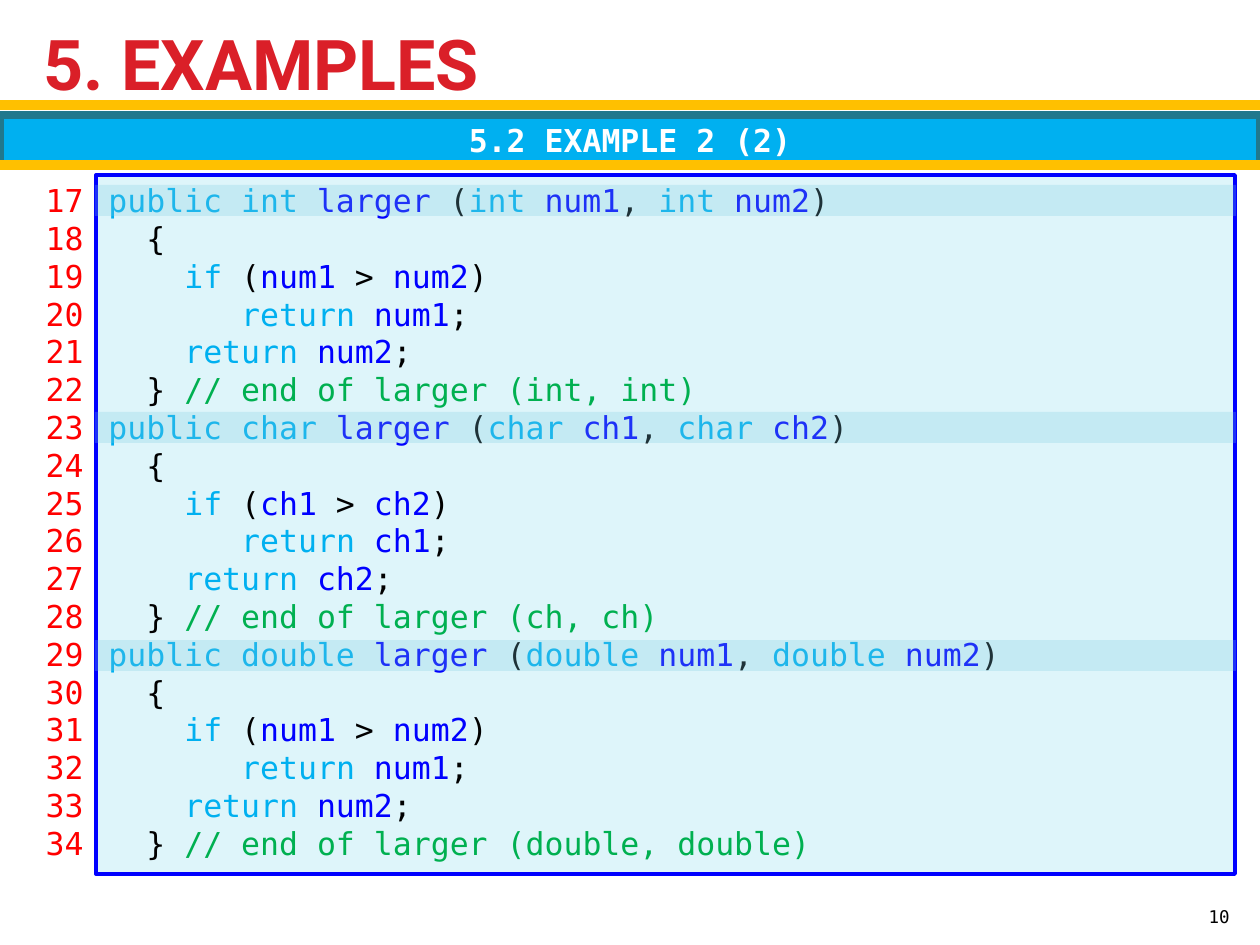
"""Build the slide with the three overloaded larger methods."""
from lxml import etree
from pptx import Presentation
from pptx.dml.color import RGBColor
from pptx.enum.shapes import MSO_CONNECTOR, MSO_SHAPE
from pptx.enum.text import MSO_ANCHOR, PP_ALIGN
from pptx.oxml.ns import qn
from pptx.util import Emu, Pt

RECT, STRAIGHT = MSO_SHAPE.RECTANGLE, MSO_CONNECTOR.STRAIGHT
LEFT, CENTER, RIGHT = PP_ALIGN.LEFT, PP_ALIGN.CENTER, PP_ALIGN.RIGHT
TOP, MIDDLE, BOTTOM = MSO_ANCHOR.TOP, MSO_ANCHOR.MIDDLE, MSO_ANCHOR.BOTTOM
EMU_PER_PX = 914400 / 126
MONO = "DejaVu Sans Mono"
LINE_PITCH = Pt(21.6)
CHAR_WIDTH = Pt(10.84)
FIRST_LINE = 17
COLORS = {
    "title": "DA1F28", "rule": "FFC000", "banner": "00B0F0",
    "banner_line": "21788D", "white": "FFFFFF", "number": "FF0000",
    "code_fill": "DEF5FA", "code_line": "0000FF", "highlight": "7ACBE0",
    "keyword": "00B0F0", "name": "0000FF", "plain": "000000",
    "comment": "00B050",
}
METHODS = [
    ("int", "num1", "num2", "int, int"),
    ("char", "ch1", "ch2", "ch, ch"),
    ("double", "num1", "num2", "double, double"),
]


def px(*values):
    return [Emu(round(v * EMU_PER_PX)) for v in values]


def add_run(p, text, color, size=18, bold=False, font=MONO):
    r = p.add_run()
    r.text = text
    for key, value in {"name": font, "size": Pt(size), "bold": bold}.items():
        setattr(r.font, key, value)
    r.font.color.rgb = RGBColor.from_string(COLORS[color])


prs = Presentation()
prs.slide_width, prs.slide_height = px(1260, 945)
s = prs.slides.add_slide(prs.slide_layouts[5])

title = s.shapes.title
title.left, title.top, title.width, title.height = px(31, 22, 1193, 82)
title.text_frame.vertical_anchor = MIDDLE
p = title.text_frame.paragraphs[0]
p.alignment = LEFT
add_run(p, "5. EXAMPLES", "title", 40, True, "Roboto")

boxes = {}
for name, box, fill, line, width in [
    ("banner", (0, 115, 1260, 50), "banner", "banner_line", 4.33),
    ("code", (96, 175, 1139, 699), "code_fill", "code_line", 2.25),
]:
    sp = s.shapes.add_shape(RECT, *px(*box))
    sp.shadow.inherit = False
    sp.fill.solid()
    sp.fill.fore_color.rgb = RGBColor.from_string(COLORS[fill])
    sp.line.color.rgb = RGBColor.from_string(COLORS[line])
    sp.line.width = Pt(width)
    boxes[name] = sp

for name, box in [
    ("line numbers", (24, 175, 72, 699)),
    ("slide number", (1192, 883, 50, 50)),
]:
    boxes[name] = s.shapes.add_textbox(*px(*box))

for name, anchor in [
    ("banner", MIDDLE), ("code", TOP),
    ("line numbers", TOP), ("slide number", BOTTOM),
]:
    tf = boxes[name].text_frame
    tf.word_wrap = True
    tf.vertical_anchor = anchor

for name, text, align, color, size, bold in [
    ("banner", "5.2 EXAMPLE 2 (2)", CENTER, "white", 18, True),
    ("slide number", "10", RIGHT, "plain", 10, False),
]:
    p = boxes[name].text_frame.paragraphs[0]
    p.alignment = align
    add_run(p, text, color, size, bold)

code = []
for kind, a, b, label in METHODS:
    code += [
        (0, [(f"public {kind} ", "keyword"), ("larger ", "name"),
             ("(", "plain"), (f"{kind} ", "keyword"), (a, "name"),
             (", ", "plain"), (f"{kind} ", "keyword"), (b, "name"),
             (")", "plain")]),
        (2, [("{", "plain")]),
        (4, [("if ", "keyword"), ("(", "plain"), (f"{a} ", "name"),
             ("> ", "plain"), (b, "name"), (")", "plain")]),
        (7, [("return ", "keyword"), (a, "name"), (";", "plain")]),
        (4, [("return ", "keyword"), (b, "name"), (";", "plain")]),
        (2, [("} ", "plain"), (f"// end of larger ({label})", "comment")]),
    ]

numbers = [(0, [(str(FIRST_LINE + i), "number")]) for i in range(len(code))]
for name, lines, align in [
    ("code", code, LEFT), ("line numbers", numbers, RIGHT),
]:
    tf = boxes[name].text_frame
    for i, (indent, runs) in enumerate(lines):
        p = tf.add_paragraph() if i else tf.paragraphs[0]
        p.alignment = align
        p.line_spacing = LINE_PITCH
        pPr = p._p.get_or_add_pPr()
        pPr.set("marL", str(indent * CHAR_WIDTH))
        pPr.set("indent", "0")
        for text, color in runs:
            add_run(p, text, color)

for y in (105, 165):
    rule = s.shapes.add_connector(STRAIGHT, *px(0, y, 1260, y))
    rule.line.color.rgb = RGBColor.from_string(COLORS["rule"])
    rule.line.width = Pt(6)
    etree.SubElement(rule._element.spPr, qn("a:effectLst"))

for y in (185, 412, 640):
    sp = s.shapes.add_shape(RECT, *px(95, y, 1141, 31))
    sp.shadow.inherit = False
    sp.fill.solid()
    sp.fill.fore_color.rgb = RGBColor.from_string(COLORS["highlight"])
    sp.line.fill.background()
    srgb = sp._element.spPr.find(".//" + qn("a:srgbClr"))
    etree.SubElement(srgb, qn("a:alpha"), val="25000")

prs.save("out.pptx")
